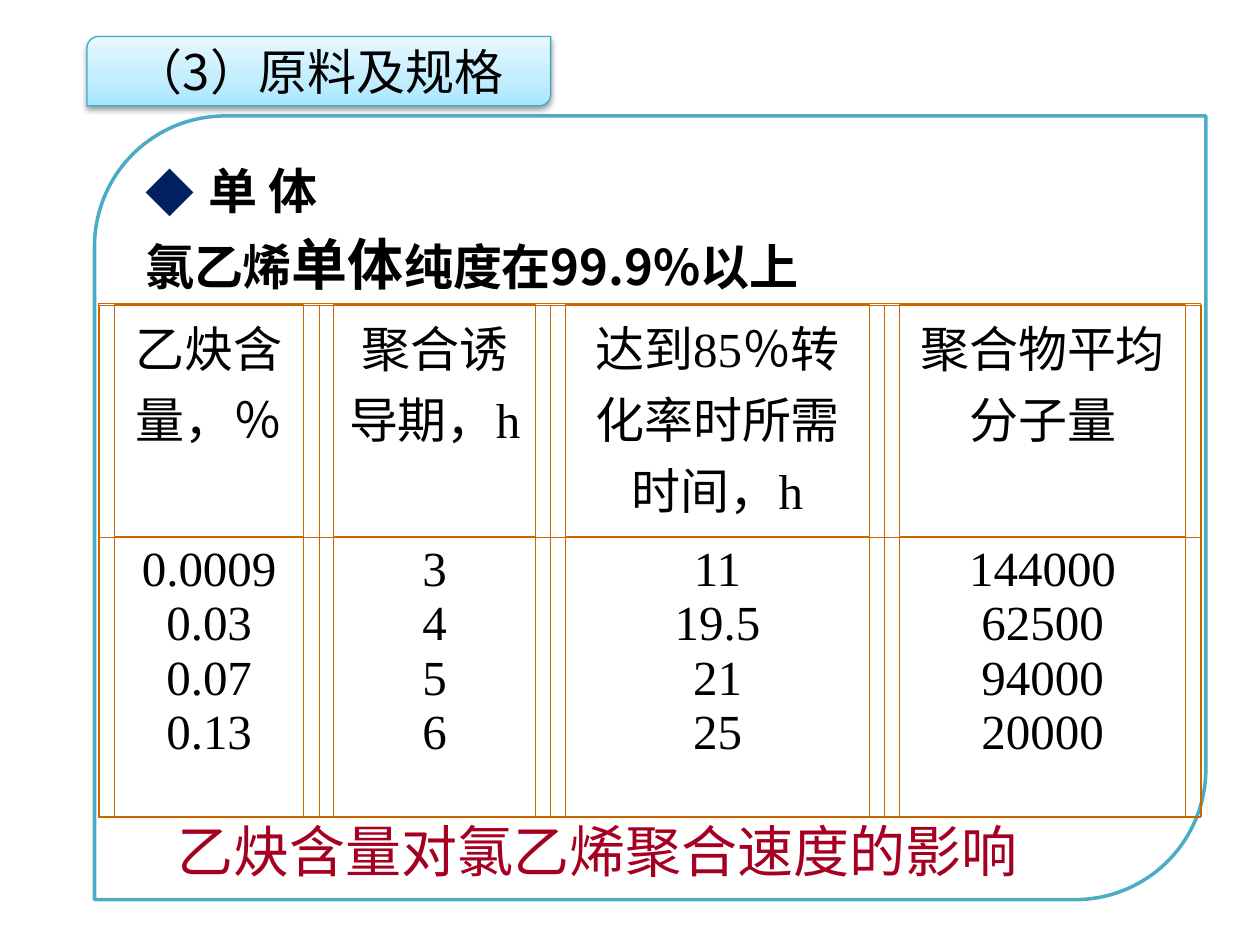
from dataclasses import dataclass
from itertools import accumulate

from lxml import etree
from pptx import Presentation
from pptx.dml.color import RGBColor
from pptx.enum import shapes, text
from pptx.oxml import parse_xml
from pptx.oxml.ns import nsdecls, qn
from pptx.util import Inches, Pt

COLORS = {
    "ink": "000000", "rule": "CC6600", "caption": "A50021", "bullet": "002060",
    "banner": "46AAC5", "panel": "4BACC6",
    "deep": "A7E6FF", "mid": "C1EDFF", "pale": "E7F8FF",
}
SANS, SERIF = "Noto Sans CJK SC", "Times New Roman"
TABLE_LEFT, TABLE_TOP, GAP = 0.79, 2.42, 0.12
ROW_HEIGHTS = (1.84, 2.22)


@dataclass(frozen=True)
class Column:
    """One measured quantity with its column width in inches."""
    heading: str
    values: tuple[str, ...]
    width: float


COLUMNS = (
    Column("乙炔含量，％", ("0.0009", "0.03", "0.07", "0.13"), 1.74),
    Column("聚合诱导期，h", ("3", "4", "5", "6"), 1.84),
    Column("达到85％转化率时所需时间，h", ("11", "19.5", "21", "25"), 2.65),
    Column("聚合物平均分子量", ("144000", "62500", "94000", "20000"), 2.51),
)


def rgb(name: str) -> RGBColor:
    """Look up a palette colour."""
    return RGBColor.from_string(COLORS[name])


def add_run(paragraph, words: str, size: int = 28, font: str = SANS,
            color: str = "ink", bold: bool = False) -> None:
    """Append one styled run."""
    run = paragraph.add_run()
    run.text = words
    run.font.size, run.font.name, run.font.bold = Pt(size), font, bold
    run.font.color.rgb = rgb(color)
    etree.SubElement(run.font._element, qn("a:ea"), typeface=SANS)


def add_outline(slide, kind, box: tuple[float, ...], color: str, weight: float):
    """Draw an unfilled outlined shape."""
    outline = slide.shapes.add_shape(kind, *map(Inches, box))
    outline.shadow.inherit = False
    outline.fill.background()
    outline.line.color.rgb = rgb(color)
    outline.line.width = Pt(weight)
    return outline


def add_banner(slide) -> None:
    """Draw the section heading with its gradient and shadow."""
    banner = add_outline(slide, shapes.MSO_SHAPE.ROUND_2_DIAG_RECTANGLE,
                         (0.69, 0.29, 3.68, 0.55), "banner", 0.75)
    stops = "".join(
        f'<a:gs pos="{pos * 1000}"><a:srgbClr val="{COLORS[name]}"/></a:gs>'
        for pos, name in ((0, "deep"), (35, "mid"), (100, "pale")))
    properties = banner._element.spPr
    properties.replace(properties.find(qn("a:noFill")), parse_xml(
        f'<a:gradFill {nsdecls("a")} rotWithShape="1"><a:gsLst>{stops}</a:gsLst>'
        '<a:lin ang="16200000" scaled="0"/></a:gradFill>'))
    properties.find(qn("a:effectLst")).append(parse_xml(
        f'<a:outerShdw {nsdecls("a")} blurRad="40000" dist="20000" dir="5400000" '
        'rotWithShape="0"><a:srgbClr val="000000"><a:alpha val="38000"/>'
        '</a:srgbClr></a:outerShdw>'))
    frame = banner.text_frame
    frame.word_wrap = True
    frame.vertical_anchor = text.MSO_ANCHOR.MIDDLE
    frame.paragraphs[0].alignment = text.PP_ALIGN.CENTER
    add_run(frame.paragraphs[0], "（3）原料及规格")


def add_panel(slide) -> None:
    """Draw the content panel with the monomer requirement."""
    panel = add_outline(slide, shapes.MSO_SHAPE.ROUND_2_DIAG_RECTANGLE,
                        (0.75, 0.92, 8.82, 6.22), "panel", 2)
    frame = panel.text_frame
    frame.word_wrap = True
    frame.vertical_anchor = text.MSO_ANCHOR.TOP
    topic, purity = frame.paragraphs[0], frame.add_paragraph()
    topic.alignment = purity.alignment = text.PP_ALIGN.LEFT
    properties = topic._p.get_or_add_pPr()
    properties.set("marL", str(Inches(0.5)))
    properties.set("indent", str(Inches(-0.5)))
    color = etree.SubElement(properties, qn("a:buClr"))
    etree.SubElement(color, qn("a:srgbClr"), val=COLORS["bullet"])
    etree.SubElement(properties, qn("a:buFont"), typeface=SANS)
    etree.SubElement(properties, qn("a:buChar"), char="◆")
    add_run(topic, "单 体", bold=True)
    purity.space_before = Pt(6)
    for words, size in (("氯乙烯", 28), ("单体", 32), ("纯度在99.9%以上", 28)):
        add_run(purity, words, size, bold=True)


def fill_cell(cell, lines: tuple[str, ...]) -> None:
    """Write centred lines in a cell and give it hairline borders."""
    cell.margin_left = cell.margin_right = Inches(GAP + 0.1)
    properties = cell._tc.get_or_add_tcPr()
    for side in ("lnL", "lnR", "lnT", "lnB"):
        properties.append(parse_xml(
            f'<a:{side} {nsdecls("a")} w="3175"><a:solidFill>'
            f'<a:srgbClr val="{COLORS["rule"]}"/></a:solidFill></a:{side}>'))
    cell.fill.background()
    for index, words in enumerate(lines):
        frame = cell.text_frame
        paragraph = frame.add_paragraph() if index else frame.paragraphs[0]
        paragraph.alignment = text.PP_ALIGN.CENTER
        add_run(paragraph, words, font=SERIF)


def add_data_table(slide) -> None:
    """Build the acetylene table with an inner frame in every cell."""
    widths = [column.width for column in COLUMNS]
    total, height = sum(widths), sum(ROW_HEIGHTS)
    table = slide.shapes.add_table(
        len(ROW_HEIGHTS), len(COLUMNS), Inches(TABLE_LEFT), Inches(TABLE_TOP),
        Inches(total), Inches(height)).table
    table.first_row = table.horz_banding = False
    lefts = list(accumulate(widths, initial=TABLE_LEFT))
    tops = list(accumulate(ROW_HEIGHTS, initial=TABLE_TOP))
    for row, row_height in enumerate(ROW_HEIGHTS):
        table.rows[row].height = Inches(row_height)
        for col, column in enumerate(COLUMNS):
            table.columns[col].width = Inches(column.width)
            fill_cell(table.cell(row, col),
                      column.values if row else (column.heading,))
            add_outline(slide, shapes.MSO_SHAPE.RECTANGLE,
                        (lefts[col] + GAP, tops[row],
                         column.width - 2 * GAP, row_height), "rule", 0.75)
    add_outline(slide, shapes.MSO_SHAPE.RECTANGLE,
                (TABLE_LEFT - 0.01, TABLE_TOP - 0.01, total + 0.01, height + 0.02),
                "rule", 0.75)


def add_caption(slide) -> None:
    """Write the table caption."""
    caption = slide.shapes.add_textbox(*map(Inches, (1.31, 6.43, 6.97, 0.63)))
    caption.text_frame.word_wrap = True
    add_run(caption.text_frame.paragraphs[0], "乙炔含量对氯乙烯聚合速度的影响",
            32, color="caption")


def main() -> None:
    """Build and save the slide."""
    deck = Presentation()
    deck.slide_width, deck.slide_height = Inches(10), Inches(7.5)
    slide = deck.slides.add_slide(deck.slide_layouts[6])
    add_banner(slide)
    add_panel(slide)
    add_data_table(slide)
    add_caption(slide)
    deck.save("out.pptx")


if __name__ == "__main__":
    main()
